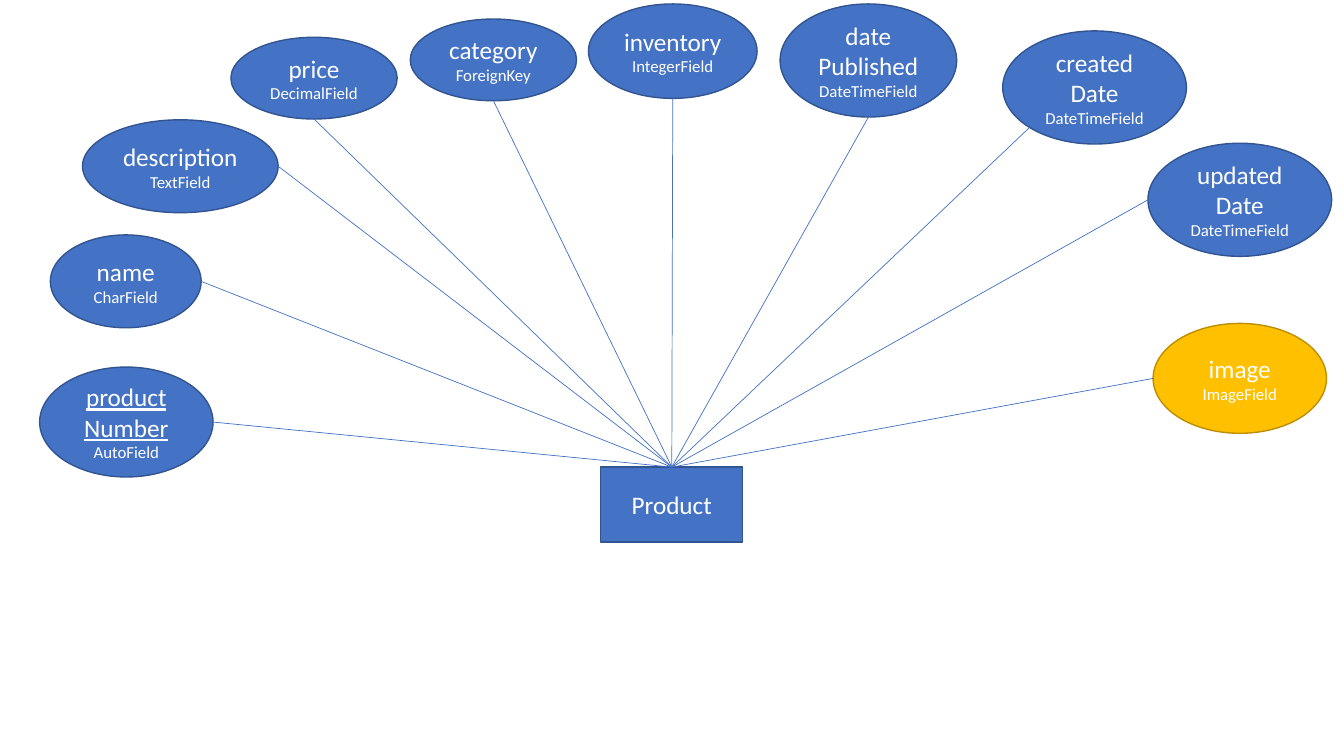
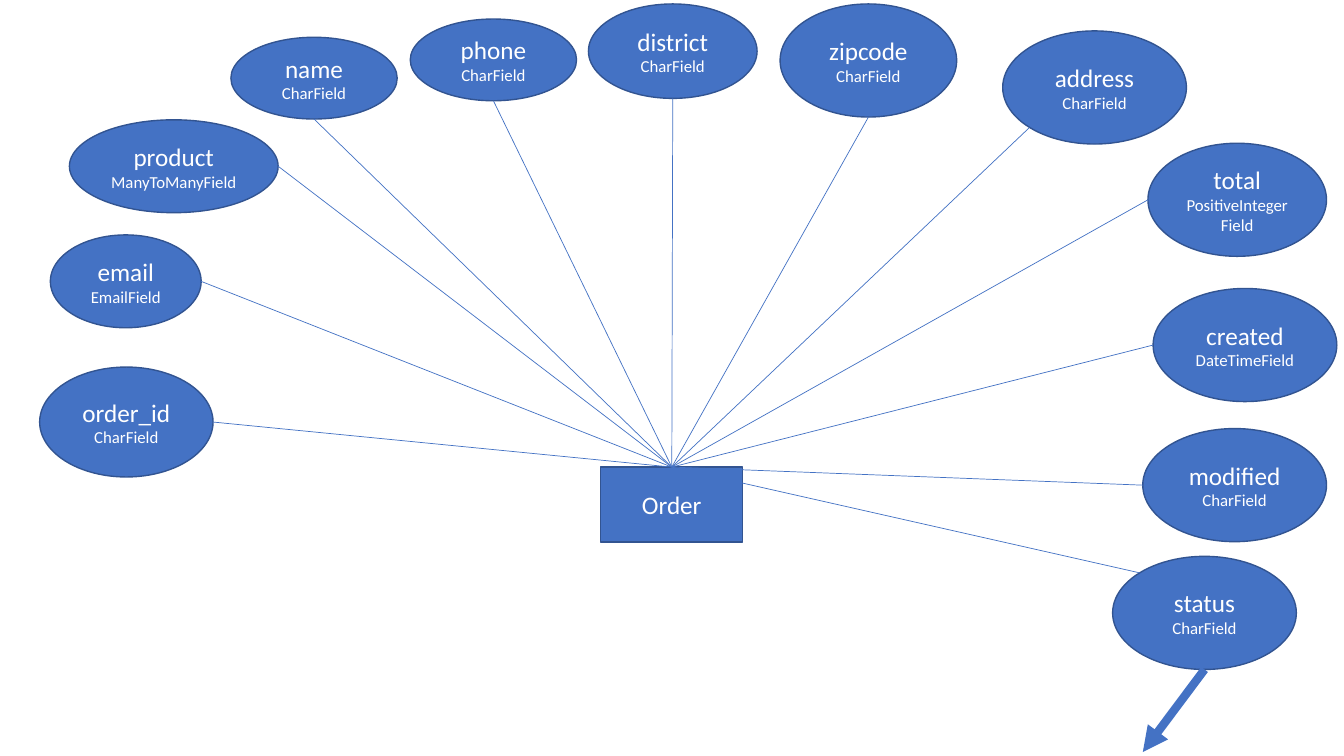
"""Builds two entity diagrams: a Product and an Order model with their fields."""
from lxml import etree
from pptx import Presentation
from pptx.dml.color import RGBColor
from pptx.enum.shapes import MSO_CONNECTOR, MSO_SHAPE
from pptx.enum.text import MSO_ANCHOR, PP_ALIGN
from pptx.oxml.ns import qn
from pptx.util import Cm, Pt

RECTANGLE, ELLIPSE = MSO_SHAPE.RECTANGLE, MSO_SHAPE.OVAL
STRAIGHT = MSO_CONNECTOR.STRAIGHT
MIDDLE, CENTER = MSO_ANCHOR.MIDDLE, PP_ALIGN.CENTER

FONT, WHITE = "Calibri", "FFFFFF"
BLUE, GOLD = ("4472C4", "325491"), ("FFC000", "BD8E00")
NAME_SIZE, TYPE_SIZE = 18, 12
KEY_FIELD, HIGHLIGHTED_FIELD = "product Number", "image"

ENTITY = (15.14, 11.77, 3.58, 1.89)
HUB = (16.93, 11.77)
ARROW_TIP = (28.8, 18.95)

LEFT, RIGHT, BOTTOM = (-1, 0), (1, 0), (0, 1)
LOWER_LEFT, UPPER_LEFT = (-0.71, 0.71), (-0.71, -0.71)

SPOTS = {
    "key": ((1, 9.25, 4.37, 2.77), RIGHT),
    "west": ((1.27, 5.92, 3.8, 2.34), RIGHT),
    "northwest": ((2.08, 3.02, 4.93, 2.34), RIGHT),
    "northwest wide": ((1.75, 3.02, 5.26, 2.34), RIGHT),
    "top 1": ((5.82, 0.94, 4.19, 2.06), BOTTOM),
    "top 2": ((10.34, 0.48, 4.19, 2.06), BOTTOM),
    "top 3": ((14.83, 0.1, 4.25, 2.38), BOTTOM),
    "top 4": ((19.66, 0.1, 4.45, 2.85), BOTTOM),
    "top 5": ((25.27, 0.78, 4.63, 2.85), LOWER_LEFT),
    "northeast": ((28.93, 3.61, 4.63, 2.85), LEFT),
    "northeast narrow": ((28.93, 3.61, 4.5, 2.85), LEFT),
    "east low": ((29.06, 8.15, 4.37, 2.77), LEFT),
    "east": ((29.06, 7.27, 4.63, 2.85), LEFT),
    "southeast": ((28.8, 10.8, 4.63, 2.85), UPPER_LEFT),
    "south": ((28.04, 14.02, 4.63, 2.85), UPPER_LEFT),
}

MODELS = {
    "Product": [
        ("key", "product Number", "AutoField"),
        ("west", "name", "CharField"),
        ("northwest", "description", "TextField"),
        ("top 1", "price", "DecimalField"),
        ("top 2", "category", "ForeignKey"),
        ("top 3", "inventory", "IntegerField"),
        ("top 4", "date Published", "DateTimeField"),
        ("top 5", "created Date", "DateTimeField"),
        ("northeast", "updated Date", "DateTimeField"),
        ("east low", "image", "ImageField"),
    ],
    "Order": [
        ("key", "order_id", "CharField"),
        ("west", "email", "EmailField"),
        ("northwest wide", "product", "ManyToManyField"),
        ("top 1", "name", "CharField"),
        ("top 2", "phone", "CharField"),
        ("top 3", "district", "CharField"),
        ("top 4", "zipcode", "CharField"),
        ("top 5", "address", "CharField"),
        ("northeast narrow", "total", "PositiveIntegerField"),
        ("east", "created", "DateTimeField"),
        ("southeast", "modified", "CharField"),
        ("south", "status", "CharField"),
    ],
}
SPOTS["southeast"] = (SPOTS["southeast"][0], LEFT)


def add_node(page, kind, frame, colors, lines):
    box = page.shapes.add_shape(kind, *[Cm(length) for length in frame])
    box.shadow.inherit = False
    box.fill.solid()
    box.fill.fore_color.rgb = RGBColor.from_string(colors[0])
    box.line.color.rgb = RGBColor.from_string(colors[1])
    box.line.width = Pt(1)
    text = box.text_frame
    text.word_wrap = True
    text.vertical_anchor = MIDDLE
    for index, (words, size) in enumerate(lines):
        para = text.add_paragraph() if index else text.paragraphs[0]
        para.alignment = CENTER
        span = para.add_run()
        span.text = words
        span.font.name = FONT
        span.font.size = Pt(size)
        span.font.color.rgb = RGBColor.from_string(WHITE)
        if words == KEY_FIELD:
            span.font.underline = True


def add_line(page, frame, side, end, width):
    left, top, across, down = frame
    start = (left + across * (1 + side[0]) / 2, top + down * (1 + side[1]) / 2)
    line = page.shapes.add_connector(STRAIGHT, *[Cm(length) for length in start + end])
    line.line.color.rgb = RGBColor.from_string(BLUE[0])
    line.line.width = Pt(width)
    etree.SubElement(line._element.spPr, qn("a:effectLst"))
    return line


deck = Presentation()
deck.slide_width, deck.slide_height = Cm(33.87), Cm(19.05)
blank = deck.slide_layouts[6]

for entity, fields in MODELS.items():
    page = deck.slides.add_slide(blank)
    add_node(page, RECTANGLE, ENTITY, BLUE, [(entity, NAME_SIZE)])
    for spot, name, field_type in fields:
        frame, side = SPOTS[spot]
        colors = GOLD if name == HIGHLIGHTED_FIELD else BLUE
        add_node(page, ELLIPSE, frame, colors, [(name, NAME_SIZE), (field_type, TYPE_SIZE)])
        add_line(page, frame, side, HUB, 0.5)

arrow = add_line(page, SPOTS["south"][0], BOTTOM, ARROW_TIP, 6)
etree.SubElement(arrow._element.spPr.find(qn("a:ln")), qn("a:tailEnd"), type="triangle")

deck.save("out.pptx")
